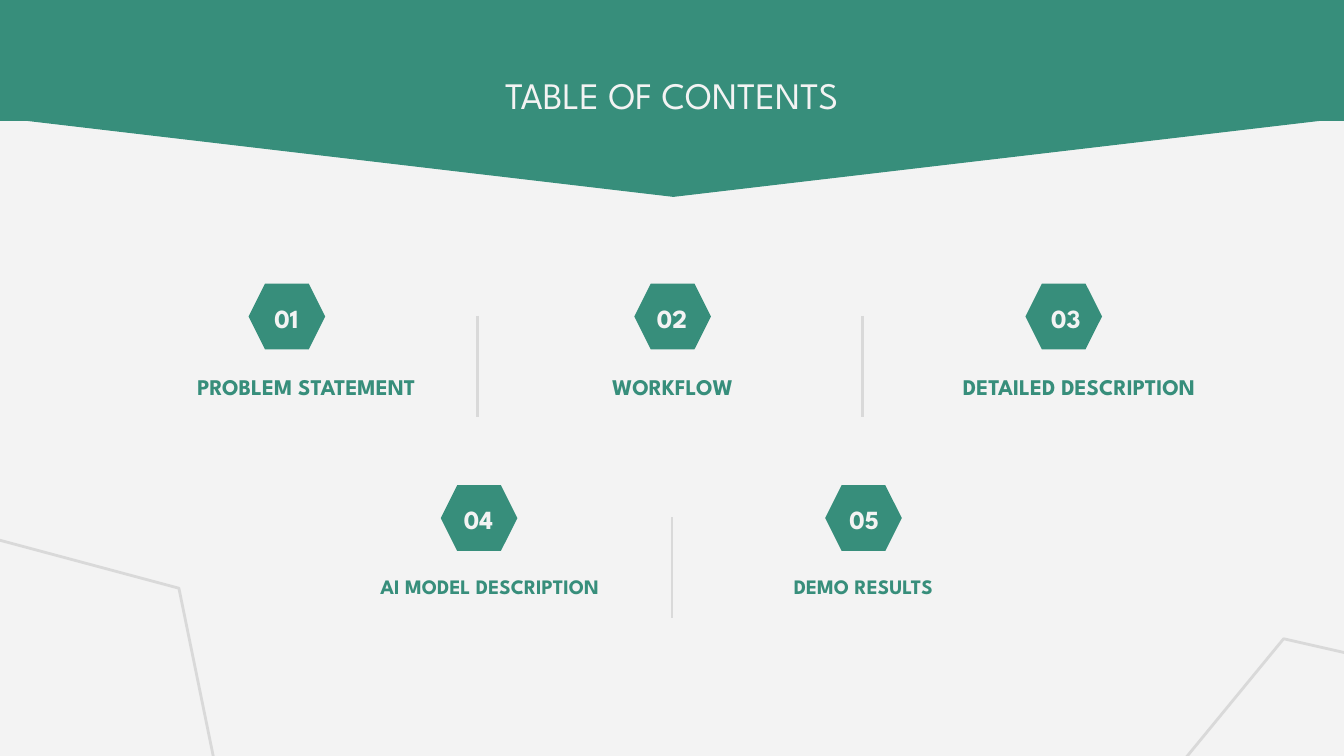
from pptx import Presentation
from pptx.dml.color import RGBColor
from pptx.enum.shapes import MSO_CONNECTOR as Connector, MSO_SHAPE as Shape
from pptx.enum.text import MSO_ANCHOR as Anchor, PP_ALIGN as Align
from pptx.oxml.ns import qn
from pptx.util import Inches, Pt
from lxml.etree import SubElement

GREEN = RGBColor(0x37, 0x8E, 0x7B)
PALE = RGBColor(0xF3, 0xF3, 0xF3)
GREY = RGBColor(0xD9, 0xD9, 0xD9)
FONT = "League Spartan"

ROWS = [
    (2.11, 2.56, 12, [
        ("01", 1.85, 1.72, "PROBLEM STATEMENT", 1.19, 2.18),
        ("02", 4.72, 4.59, "WORKFLOW", 4.13, 1.75),
        ("03", 7.63, 7.52, "DETAILED DESCRIPTION", 6.88, 2.3),
    ], [3.55, 6.42]),
    (3.61, 4.05, 11, [
        ("04", 3.28, 3.15, "AI MODEL DESCRIPTION", 2.49, 2.31),
        ("05", 6.14, 6.02, "DEMO RESULTS", 5.55, 1.75),
    ], [5]),
]


def add_shape(slide, kind, box, fill=None, line=None, width=1.5, rotation=0):
    shape = slide.shapes.add_shape(kind, *map(Inches, box))
    shape.shadow.inherit = False
    shape.rotation = rotation
    if fill is None:
        shape.fill.background()
    else:
        shape.fill.solid()
        shape.fill.fore_color.rgb = fill
    if line is None:
        shape.line.fill.background()
    else:
        shape.line.color.rgb = line
        shape.line.width = Pt(width)
    return shape


def add_text(slide, text, box, size, color, bold=True, anchor=Anchor.MIDDLE):
    frame = slide.shapes.add_textbox(*map(Inches, box)).text_frame
    frame.word_wrap = True
    frame.vertical_anchor = anchor
    frame.margin_left = frame.margin_right = Inches(0.1)
    frame.margin_top = frame.margin_bottom = Inches(0.1)
    paragraph = frame.paragraphs[0]
    paragraph.alignment = Align.CENTER
    run = paragraph.add_run()
    run.text = text
    run.font.name = FONT
    run.font.size = Pt(size)
    run.font.bold = bold
    run.font.color.rgb = color


def add_divider(slide, x, top):
    line = slide.shapes.add_connector(
        Connector.STRAIGHT, Inches(x), Inches(top), Inches(x), Inches(top + 0.75))
    line.line.color.rgb = GREY
    line.line.width = Pt(1.5)
    SubElement(line._element.spPr, qn("a:effectLst"))


def add_hexagon(slide, box, **style):
    hexagon = add_shape(slide, Shape.HEXAGON, box, **style)
    hexagon.adjustments[0] = 0.25


def add_banner(slide):
    add_shape(slide, Shape.ISOSCELES_TRIANGLE, (-0.01, 0.87, 10.04, 0.59),
              fill=GREEN, line=GREEN, width=0.75, rotation=180)
    add_shape(slide, Shape.RECTANGLE, (-0.01, -0.04, 10.04, 0.94), fill=GREEN)
    add_text(slide, "TABLE OF CONTENTS", (3.37, 0.44, 3.26, 0.75), 20, PALE,
             bold=False, anchor=Anchor.TOP)


def add_entry(slide, top, label_top, size, number, left, number_left,
              label, label_left, label_width):
    add_hexagon(slide, (left, top, 0.57, 0.49), fill=GREEN)
    add_text(slide, number, (number_left, top + 0.09, 0.82, 0.33), 14, PALE)
    add_text(slide, label, (label_left, label_top, label_width, 0.63), size, GREEN)


def main():
    """Build the table of contents slide."""
    presentation = Presentation()
    presentation.slide_width = Inches(10)
    presentation.slide_height = Inches(10 * 9 / 16)
    slide = presentation.slides.add_slide(presentation.slide_layouts[6])
    slide.background.fill.solid()
    slide.background.fill.fore_color.rgb = PALE

    add_banner(slide)
    for top, label_top, size, entries, dividers in ROWS:
        for entry in entries:
            add_entry(slide, top, label_top, size, *entry)
        for x in dividers:
            add_divider(slide, x, top + 0.24)
    for left, top, rotation in [(-1.56, 4.08, 15), (8.29, 5.05, 309.4)]:
        add_hexagon(slide, (left, top, 3.23, 2.53), line=GREY, rotation=rotation)

    presentation.save("out.pptx")


if __name__ == "__main__":
    main()
